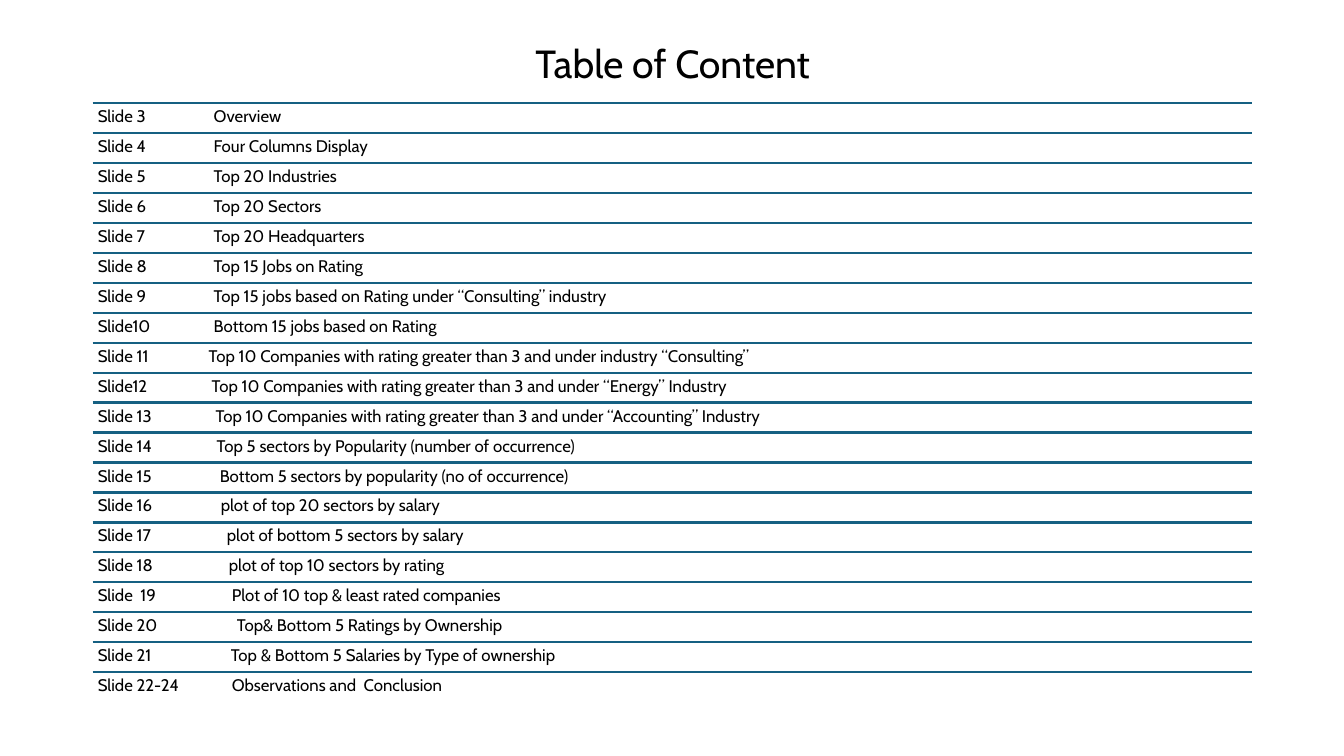
"""Build the table of contents slide."""
from lxml.etree import SubElement
from pptx import Presentation
from pptx.dml.color import RGBColor
from pptx.enum.shapes import MSO_CONNECTOR
from pptx.enum.text import MSO_ANCHOR, MSO_AUTO_SIZE, PP_ALIGN
from pptx.oxml.ns import qn
from pptx.util import Inches, Pt

BLACK = RGBColor(0x00, 0x00, 0x00)
TEAL = RGBColor(0x15, 0x60, 0x82)
FONT = "Cabin"
LEFT, WIDTH = 0.92, 11.5
FIRST_TOP, LAST_TOP = 1.02, 6.67

ENTRIES = [
    ("Slide 3", 1.15, "Overview"),
    ("Slide 4", 1.15, "Four Columns Display"),
    ("Slide 5", 1.15, "Top 20 Industries"),
    ("Slide 6", 1.15, "Top 20 Sectors"),
    ("Slide 7", 1.15, "Top 20 Headquarters"),
    ("Slide 8", 1.15, "Top 15 Jobs on Rating"),
    ("Slide 9", 1.15, "Top 15 jobs based on Rating under “Consulting” industry"),
    ("Slide10", 1.15, "Bottom 15 jobs based on Rating"),
    ("Slide 11", 1.1, "Top 10 Companies with rating greater than 3 and under industry “Consulting”"),
    ("Slide12", 1.13, "Top 10 Companies with rating greater than 3 and under “Energy” Industry"),
    ("Slide 13", 1.17, "Top 10 Companies with rating greater than 3 and under “Accounting” Industry"),
    ("Slide 14", 1.18, "Top 5 sectors by Popularity (number of occurrence)"),
    ("Slide 15", 1.21, "Bottom 5 sectors by popularity (no of occurrence)"),
    ("Slide 16", 1.22, "plot of top 20 sectors by salary"),
    ("Slide 17", 1.28, "plot of bottom 5 sectors by salary"),
    ("Slide 18", 1.3, "plot of top 10 sectors by rating"),
    ("Slide  19", 1.33, "Plot of 10 top & least rated companies"),
    ("Slide 20", 1.38, "Top& Bottom 5 Ratings by Ownership"),
    ("Slide 21", 1.32, "Top & Bottom 5 Salaries by Type of ownership"),
    ("Slide 22-24", 1.33, "Observations and  Conclusion"),
]


def add_span(para, text, size):
    span = para.add_run()
    span.text = text
    span.font.name = FONT
    span.font.size = Pt(size)
    span.font.color.rgb = BLACK


def add_tab_stop(para, position):
    tabs = SubElement(para._p.get_or_add_pPr(), qn("a:tabLst"))
    SubElement(tabs, qn("a:tab"), pos=str(Inches(position)), algn="l")


def set_title(page, text):
    title = page.shapes.title
    title.left, title.top = Inches(LEFT), Inches(0.4)
    title.width, title.height = Inches(WIDTH), Inches(0.51)
    frame = title.text_frame
    frame.auto_size = MSO_AUTO_SIZE.NONE
    frame.vertical_anchor = MSO_ANCHOR.MIDDLE
    para = frame.paragraphs[0]
    para.alignment = PP_ALIGN.CENTER
    para.line_spacing = 0.9
    add_span(para, text, 28)


def add_rule(shapes, top):
    rule = shapes.add_connector(
        MSO_CONNECTOR.STRAIGHT,
        Inches(LEFT), Inches(top), Inches(LEFT + WIDTH), Inches(top),
    )
    rule.line.color.rgb = TEAL
    rule.line.width = Pt(1.5)
    SubElement(rule._element.spPr, qn("a:effectLst"))


def add_entry(shapes, top, height, label, topic_offset, topic):
    box = shapes.add_textbox(Inches(LEFT), Inches(top), Inches(WIDTH), Inches(height))
    frame = box.text_frame
    frame.word_wrap = True
    frame.margin_left = frame.margin_right = Inches(0.05)
    frame.margin_top = frame.margin_bottom = Inches(0.05)
    para = frame.paragraphs[0]
    add_tab_stop(para, topic_offset)
    para.line_spacing = 0.9
    add_span(para, f"{label}\t{topic}", 12)


def main():
    deck = Presentation()
    deck.slide_width, deck.slide_height = Inches(13.33), Inches(7.5)
    page = deck.slides.add_slide(deck.slide_layouts[5])
    set_title(page, "Table of Content")
    contents = page.shapes.add_group_shape().shapes
    pitch = (LAST_TOP - FIRST_TOP) / (len(ENTRIES) - 1)
    for index, entry in enumerate(ENTRIES):
        top = FIRST_TOP + index * pitch
        add_rule(contents, top)
        add_entry(contents, top, pitch, *entry)
    deck.save("out.pptx")


if __name__ == "__main__":
    main()
